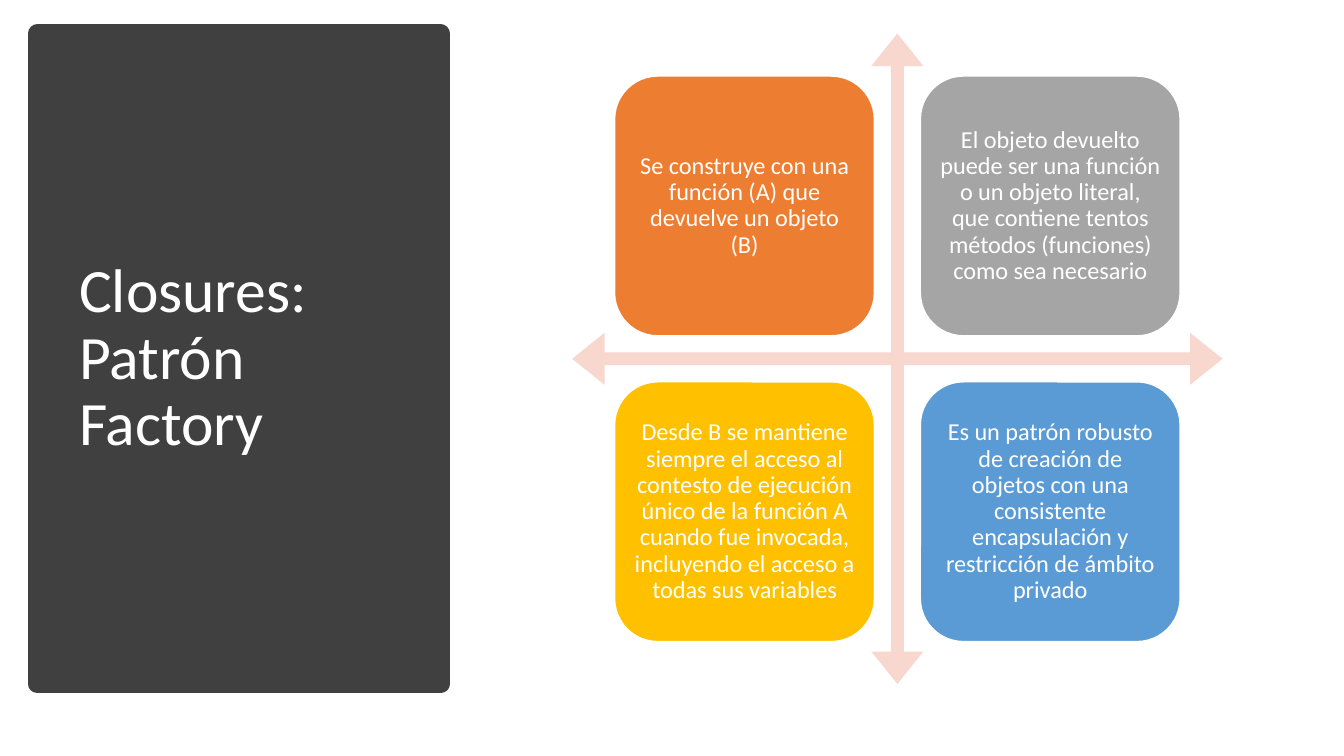
from pptx import Presentation
from pptx.dml.color import RGBColor
from pptx.enum.shapes import MSO_SHAPE as SHAPE
from pptx.enum.text import MSO_ANCHOR as ANCHOR, PP_ALIGN as ALIGN
from pptx.util import Pt

WHITE = RGBColor(0xFF, 0xFF, 0xFF)
DARK = RGBColor(0x40, 0x40, 0x40)
PINK = RGBColor(0xF8, 0xD7, 0xCE)
ORANGE = RGBColor(0xED, 0x7D, 0x31)
GRAY = RGBColor(0xA5, 0xA5, 0xA5)
GOLD = RGBColor(0xFF, 0xC0, 0x00)
BLUE = RGBColor(0x5B, 0x9B, 0xD5)

CARDS = [
    (ORANGE, "Se construye con una función (A) que devuelve un objeto (B)"),
    (GRAY, "El objeto devuelto puede ser una función o un objeto literal, "
           "que contiene tentos métodos (funciones) como sea necesario"),
    (GOLD, "Desde B se mantiene siempre el acceso al contesto de ejecución único "
           "de la función A cuando fue invocada, incluyendo el acceso a todas sus variables"),
    (BLUE, "Es un patrón robusto de creación de objetos con una consistente "
           "encapsulación y restricción de ámbito privado"),
]


def add_shape(kind, x, y, w, h, fill, line=None, width=1):
    sp = s.shapes.add_shape(kind, Pt(x), Pt(y), Pt(w), Pt(h))
    sp.shadow.inherit = False
    sp.fill.solid()
    sp.fill.fore_color.rgb = fill
    if line is None:
        sp.line.fill.background()
    else:
        sp.line.color.rgb = line
        sp.line.width = Pt(width)
    return sp


def write(tf, text, size, align):
    tf.word_wrap = True
    tf.vertical_anchor = ANCHOR.MIDDLE
    p = tf.paragraphs[0]
    p.alignment = align
    p.line_spacing = 0.9
    r = p.add_run()
    r.text = text
    r.font.name = "Calibri"
    r.font.size = Pt(size)
    r.font.color.rgb = WHITE


prs = Presentation()
prs.slide_width, prs.slide_height = Pt(720), Pt(405)
s = prs.slides.add_slide(prs.slide_layouts[6])

add_shape(SHAPE.RECTANGLE, 20, 18, 216, 348.5, DARK, DARK, 10)
title = s.shapes.add_textbox(Pt(35.3), Pt(37.5), Pt(187), Pt(310))
write(title.text_frame, "Closures: Patrón Factory", 33, ALIGN.LEFT)

left, top, side = 306.5, 18, 348.5
arrows = add_shape(SHAPE.QUAD_ARROW, left, top, side, side, PINK)
for i, value in enumerate((0.02, 0.04, 0.05)):
    arrows.adjustments[i] = value

card, pitch = 139.4, 163.8
inset = (side - card - pitch) / 2
for i, (color, text) in enumerate(CARDS):
    row, col = divmod(i, 2)
    sp = add_shape(SHAPE.ROUNDED_RECTANGLE, left + inset + col * pitch,
                   top + inset + row * pitch, card, card, color, WHITE)
    tf = sp.text_frame
    tf.margin_left = tf.margin_right = tf.margin_top = tf.margin_bottom = Pt(3.6)
    write(tf, text, 13, ALIGN.CENTER)

prs.save("out.pptx")
